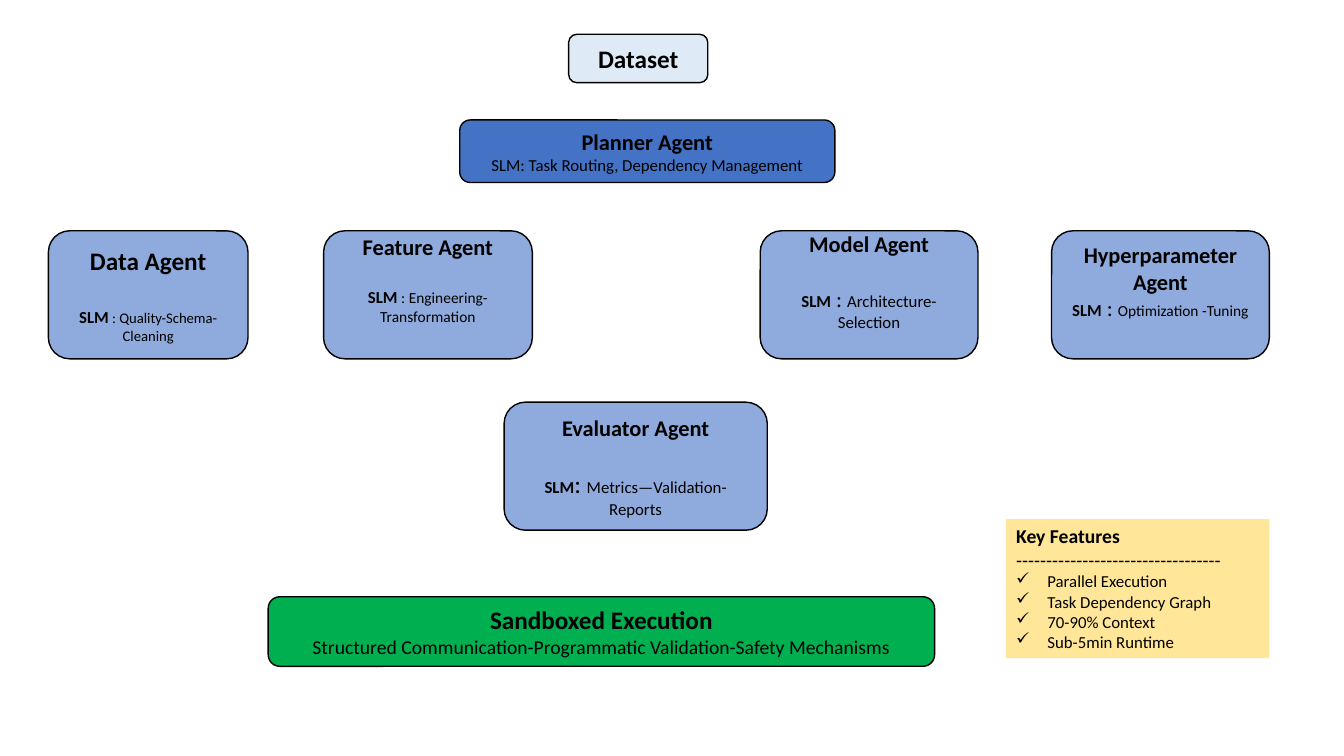
from dataclasses import dataclass

from lxml.etree import SubElement
from pptx import Presentation
from pptx.dml.color import RGBColor as Color
from pptx.enum.shapes import MSO_SHAPE as Shape
from pptx.enum.text import MSO_ANCHOR as Anchor, PP_ALIGN as Align
from pptx.oxml.ns import qn
from pptx.util import Inches, Pt


@dataclass(frozen=True)
class Theme:
    font: str = "Calibri"
    ink: str = "000000"
    data: str = "DEEBF7"
    planner: str = "4472C4"
    agent: str = "8FAADC"
    sandbox: str = "00B050"
    note: str = "FFE699"
    title: float = 18
    heading: float = 16
    body: float = 14
    label: float = 12
    detail: float = 11
    small: float = 10.5
    line_height: float = 1.22
    inset: float = 0.05


class DiagramSlide:
    def __init__(self, deck, theme):
        self.theme = theme
        self.page = deck.slides.add_slide(deck.slide_layouts[6])

    def apply(self, target, values):
        for name, value in values.items():
            setattr(target, name, value)

    def panel(self, kind, place, color):
        box = self.page.shapes.add_shape(kind, *map(Inches, place))
        box.shadow.inherit = False
        box.fill.solid()
        box.fill.fore_color.rgb = Color.from_string(color)
        return box

    def fill_para(self, para, spans, align, gap=0):
        self.apply(para, {"alignment": align, "space_before": Pt(gap * self.theme.line_height)})
        for text, size, bold in spans:
            span = para.add_run()
            span.text = text
            self.apply(span.font, {"name": self.theme.font, "size": Pt(size), "bold": bold})
            span.font.color.rgb = Color.from_string(self.theme.ink)

    def card(self, place, color, title, size, spans=(), gap=0, tail=0):
        box = self.panel(Shape.ROUNDED_RECTANGLE, place, color)
        box.line.color.rgb = Color.from_string(self.theme.ink)
        box.line.width = Pt(1)
        frame = box.text_frame
        bottom = Inches(self.theme.inset) + Pt(tail * self.theme.line_height)
        self.apply(frame, {"word_wrap": True, "vertical_anchor": Anchor.MIDDLE, "margin_bottom": bottom})
        self.fill_para(frame.paragraphs[0], [(title, size, True)], Align.CENTER)
        if spans:
            self.fill_para(frame.add_paragraph(), spans, Align.CENTER, gap)

    def feature_list(self, place, title, rule, items):
        theme = self.theme
        box = self.panel(Shape.RECTANGLE, place, theme.note)
        box.line.fill.background()
        frame = box.text_frame
        self.apply(frame, {"word_wrap": True, "vertical_anchor": Anchor.TOP})
        self.fill_para(frame.paragraphs[0], [(title, theme.body, True)], Align.LEFT)
        self.fill_para(frame.add_paragraph(), [(rule, theme.body, False)], Align.LEFT)
        for item in items:
            para = frame.add_paragraph()
            self.fill_para(para, [(item, theme.label, False)], Align.LEFT)
            props = para._p.get_or_add_pPr()
            indent = Inches(0.31)
            props.set("marL", str(indent))
            props.set("indent", str(-indent))
            SubElement(props, qn("a:buChar")).set("char", "✓")


def main():
    deck = Presentation()
    deck.slide_width, deck.slide_height = Inches(13.33), Inches(7.5)
    theme = Theme()
    slide = DiagramSlide(deck, theme)
    title, heading, label = theme.title, theme.heading, theme.label

    slide.card((5.64, 0.34, 1.38, 0.48), theme.data, "Dataset", title)
    slide.card((4.56, 1.19, 3.72, 0.62), theme.planner, "Planner Agent", heading,
               [("SLM: Task Routing, Dependency Management", label, False)])

    row, height = 2.29, 1.27
    agents = [
        (0.48, row, 1.98, "Data Agent", title,
         [(" : Quality-Schema-Cleaning", theme.small)], title, 0),
        (3.21, row, 2.07, "Feature Agent", heading,
         [(" : Engineering-Transformation", theme.detail)], heading, title),
        (7.54, row, 2.16, "Model Agent", heading,
         [(" : ", heading), ("Architecture-Selection", label)], heading, heading),
        (10.43, row, 2.16, "Hyperparameter Agent", heading,
         [(" : ", heading), ("Optimization -Tuning", theme.detail)], 0, heading),
        (5, 3.99, 2.61, "Evaluator Agent", heading,
         [(": ", title), ("Metrics—Validation-Reports", label)], heading, 0),
    ]
    for left, top, width, name, size, role, gap, tail in agents:
        spans = [("SLM", label, True)] + [(text, points, False) for text, points in role]
        slide.card((left, top, width, height), theme.agent, name, size, spans, gap, tail)

    slide.card((2.66, 5.92, 6.61, 0.69), theme.sandbox, "Sandboxed Execution", title,
               [("Structured Communication-Programmatic Validation-Safety Mechanisms", theme.body, False)])
    slide.feature_list((9.98, 5.15, 2.61, 1.38), "Key Features", "-" * 34,
                       ["Parallel Execution", "Task Dependency Graph", "70-90% Context", "Sub-5min Runtime"])
    deck.save("out.pptx")


if __name__ == "__main__":
    main()
